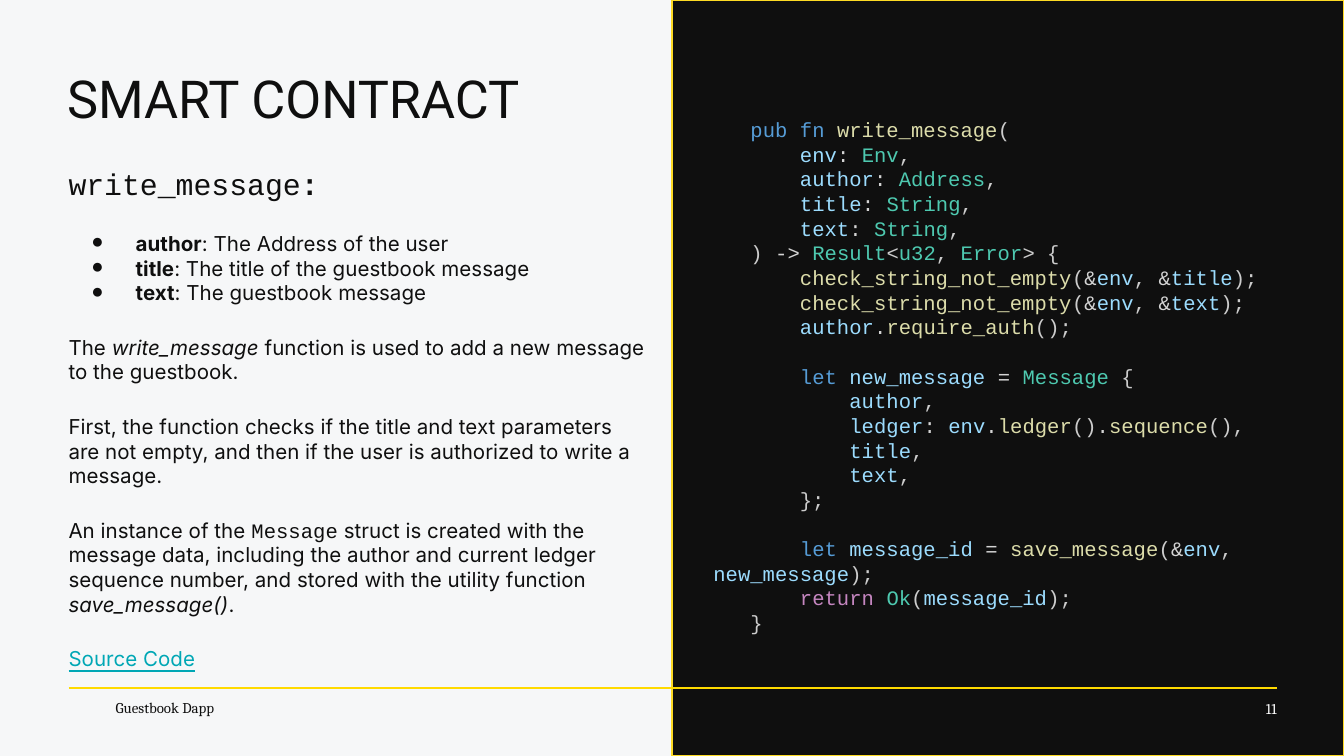
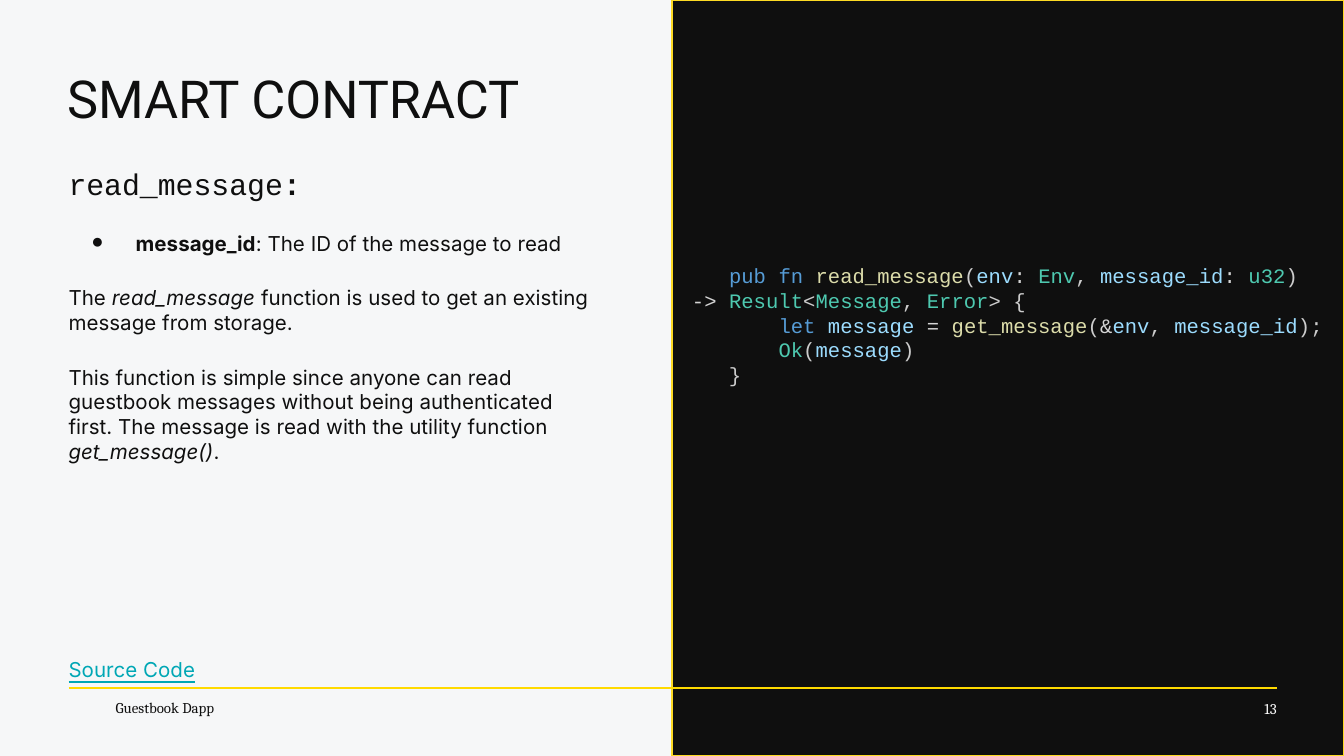
from itertools import groupby
from lxml import etree
from pptx import Presentation
from pptx import util as u
from pptx.dml.color import RGBColor
from pptx.enum import shapes, text
from pptx.oxml import ns

C = {
    "bg": "F6F7F8", "ink": "0F0F0F", "white": "FFFFFF", "border": "FDDA24",
    "rule": "FFDA00", "link": "00A7B5", "plain": "CCCCCC", "op": "D4D4D4",
    "keyword": "569CD6", "return": "C586C0", "type": "4EC9B0",
    "function": "DCDCAA", "variable": "9CDCFE",
}
MONO, BODY, FOOT = "Courier New", "Inter", "Cambria"
GAP = u.Pt(16)
CODE_LINE = 13.2

SLIDES = [
    {
        "number": "11",
        "function": "write_message",
        "params": [
            ("author", ": The Address of the user"),
            ("title", ": The title of the guestbook message"),
            ("text", ": The guestbook message"),
        ],
        "paragraphs": [
            [("The ", ""), ("write_message", "i"),
             (" function is used to add a new message to the guestbook.", "")],
            [("First, the function checks if the title and text parameters are not empty, "
              "and then if the user is authorized to write a message.", "")],
            [("An instance of the ", ""), ("Message", "m"),
             (" struct is created with the message data, including the author and current "
              "ledger sequence number, and stored with the utility function ", ""),
             ("save_message()", "i"), (".", "")],
        ],
        "link_gap": 16,
        "body_box": (0.51, 1.13, 4.39, 4),
        "code_box": (5.21, 0.77, 4.56, 4.09),
        "code_top": 0.1,
        "code": """\
   pub fn write_message(
       env: Env,
       author: Address,
       title: String,
       text: String,
   ) -> Result<u32, Error> {
       check_string_not_empty(&env, &title);
       check_string_not_empty(&env, &text);
       author.require_auth();

       let new_message = Message {
           author,
           ledger: env.ledger().sequence(),
           title,
           text,
       };

       let message_id = save_message(&env, new_message);
       return Ok(message_id);
   }""",
    },
    {
        "number": "13",
        "function": "read_message",
        "params": [("message_id", ": The ID of the message to read")],
        "paragraphs": [
            [("The ", ""), ("read_message", "i"),
             (" function is used to get an existing message from storage.", "")],
            [("This function is simple since anyone can read guestbook messages without "
              "being authenticated first. The message is read with the utility function ", ""),
             ("get_message()", "i"), (".", "")],
        ],
        "link_gap": 104,
        "body_box": (0.51, 1.13, 3.99, 4.08),
        "code_box": (5.05, 1.68, 4.91, 1.68),
        "code_top": 0.28,
        "code": """\
   pub fn read_message(env: Env, message_id: u32) -> Result<Message, Error> {
       let message = get_message(&env, message_id);
       Ok(message)
   }""",
    },
]


def add_run(p, words, size, font, color, style=""):
    r = p.add_run()
    r.text = words
    r.font.size = u.Pt(size)
    r.font.name = font
    r.font.color.rgb = RGBColor.from_string(C[color])
    r.font.bold = "b" in style
    r.font.italic = "i" in style
    r.font.underline = "u" in style


def setup_frame(sp, anchor, *insets):
    tf = sp.text_frame
    tf.auto_size = text.MSO_AUTO_SIZE.NONE
    tf.word_wrap = True
    tf.vertical_anchor = anchor
    tf.margin_left, tf.margin_top, tf.margin_right, tf.margin_bottom = map(u.Inches, insets)
    tf.paragraphs[0].alignment = text.PP_ALIGN.LEFT
    return tf


TOP, MIDDLE = text.MSO_ANCHOR.TOP, text.MSO_ANCHOR.MIDDLE
prs = Presentation()
prs.slide_width, prs.slide_height = u.Inches(10), u.Inches(10 * 9 / 16)
fill = prs.slide_master.background.fill
fill.solid()
fill.fore_color.rgb = RGBColor.from_string(C["bg"])

for data in SLIDES:
    s = prs.slides.add_slide(prs.slide_layouts[5])

    panel = s.shapes.add_shape(shapes.MSO_SHAPE.RECTANGLE, u.Inches(5), 0,
                               u.Inches(5), prs.slide_height)
    panel.line.color.rgb = RGBColor.from_string(C["border"])
    panel.line.width = u.Pt(0.75)
    s.shapes._spTree.insert(2, panel._element)

    title = s.shapes.title
    title.left, title.top, title.width, title.height = map(u.Inches, (0.5, 0.49, 9, 0.47))
    tf = setup_frame(title, TOP, 0, 0, 0, 0)
    add_run(tf.paragraphs[0], "SMART CONTRACT", 28, "Roboto", "ink")

    number = s.shapes.add_textbox(*map(u.Inches, (8.9, 5.1, 0.6, 0.34)))
    p = setup_frame(number, MIDDLE, 0, 0.1, 0, 0.1).paragraphs[0]
    p.alignment = text.PP_ALIGN.RIGHT
    add_run(p, data["number"], 8, FOOT, "white")

    footer = s.shapes.add_textbox(*map(u.Inches, (0.86, 5.13, 2.35, 0.27)))
    tf = setup_frame(footer, MIDDLE, 0, 0, 0, 0)
    add_run(tf.paragraphs[0], "Guestbook Dapp", 8, FOOT, "ink")

    rule = s.shapes.add_connector(shapes.MSO_CONNECTOR.STRAIGHT,
                                  *map(u.Inches, (0.51, 5.12, 9.5, 5.12)))
    rule.line.fill.solid()
    rule.line.fill.fore_color.rgb = RGBColor.from_string(C["rule"])
    rule.line.width = u.Pt(0.75)
    etree.SubElement(rule._element.spPr, ns.qn("a:effectLst"))
    rule._element.remove(rule._element.find(ns.qn("p:style")))

    body = s.shapes.add_textbox(*map(u.Inches, data["body_box"]))
    tf = setup_frame(body, TOP, 0, 0.1, 0.1, 0.1)
    p = tf.paragraphs[0]
    add_run(p, data["function"], 16, MONO, "ink")
    add_run(p, ":", 16, MONO, "ink", "b")

    for i, (name, meaning) in enumerate(data["params"]):
        p = tf.add_paragraph()
        pPr = p._p.get_or_add_pPr()
        pPr.set("marL", str(u.Inches(0.5)))
        pPr.set("indent", str(u.Inches(-0.33)))
        bullet_color = etree.SubElement(pPr, ns.qn("a:buClr"))
        etree.SubElement(bullet_color, ns.qn("a:srgbClr"), val=C["ink"])
        etree.SubElement(pPr, ns.qn("a:buFont"), typeface=MONO)
        etree.SubElement(pPr, ns.qn("a:buChar"), char="●")
        if i == 0:
            p.space_before = GAP
        add_run(p, name, 11, BODY, "ink", "b")
        add_run(p, meaning, 11, BODY, "ink")

    for runs in data["paragraphs"]:
        p = tf.add_paragraph()
        p.space_before = GAP
        for words, style in runs:
            add_run(p, words, 11, MONO if style == "m" else BODY, "ink", style)

    p = tf.add_paragraph()
    p.space_before = u.Pt(data["link_gap"])
    p.space_after = GAP
    add_run(p, "Source Code", 11, BODY, "link", "u")

    code = s.shapes.add_shape(shapes.MSO_SHAPE.RECTANGLE, *map(u.Inches, data["code_box"]))
    code.line.fill.background()
    for sp in (panel, code):
        sp.shadow.inherit = False
        sp.fill.solid()
        sp.fill.fore_color.rgb = RGBColor.from_string(C["ink"])

    tf = setup_frame(code, TOP, 0.1, data["code_top"], 0.1, 0.1)
    p = tf.paragraphs[0]
    after_blank = False
    for n, line in enumerate(data["code"].split("\n")):
        if not line:
            after_blank = True
            continue
        if n:
            p = tf.add_paragraph()
        p.alignment = text.PP_ALIGN.LEFT
        p.line_spacing = u.Pt(CODE_LINE)
        if after_blank:
            p.space_before = u.Pt(CODE_LINE)
            after_blank = False

        kinds = []
        for before, ch in zip(" " + line, line):
            if ch.isalnum() or ch == "_":
                kinds.append("word")
            elif ch in ":&.=-" or before + ch == "->":
                kinds.append("op")
            else:
                kinds.append("plain")

        end = 0
        for kind, group in groupby(kinds):
            start, end = end, end + len(list(group))
            token = line[start:end]
            if kind != "word":
                color = kind
            elif token in ("pub", "fn", "let"):
                color = "keyword"
            elif token == "return":
                color = "return"
            elif token[0].isupper() or token == "u32":
                color = "type"
            elif line[end:end + 1] == "(":
                color = "function"
            else:
                color = "variable"
            add_run(p, token, 11, MONO, color)

prs.save("out.pptx")
